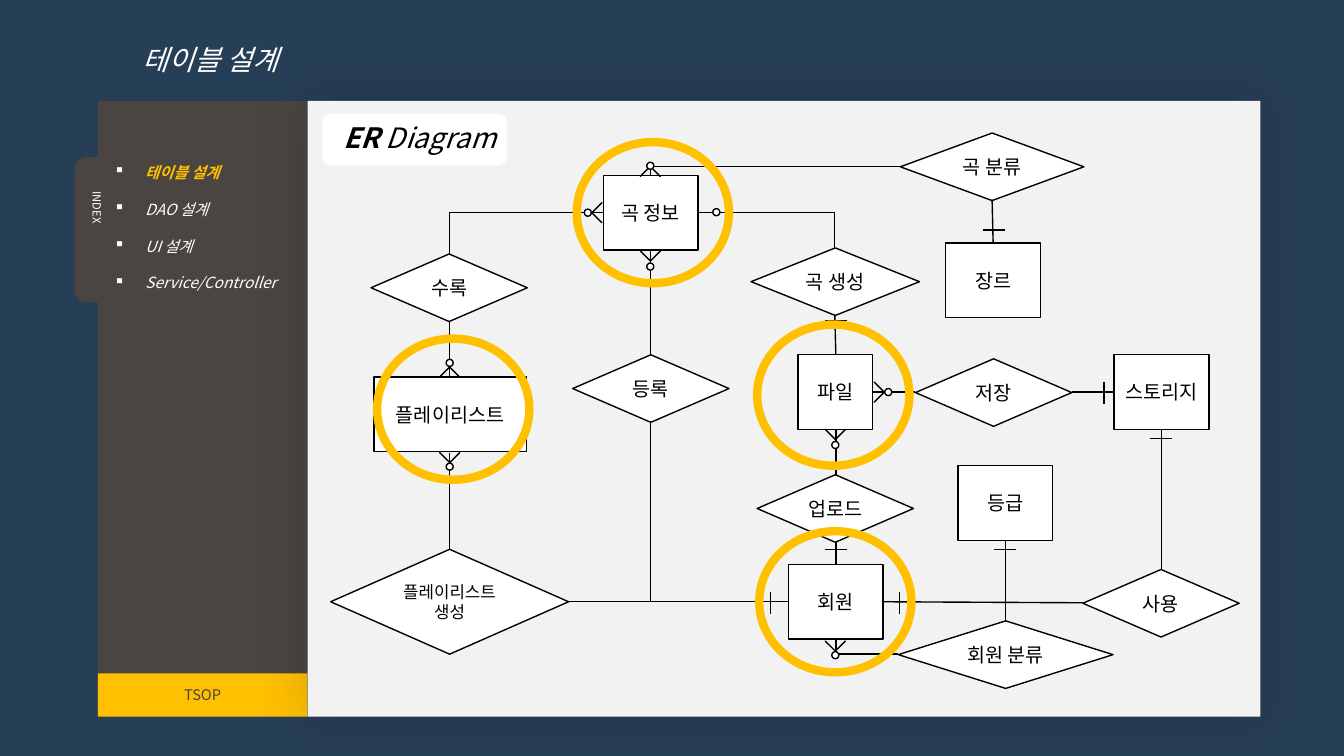
from lxml.etree import SubElement
from pptx import Presentation
from pptx.dml.color import RGBColor
from pptx.enum.shapes import MSO_CONNECTOR as LINK, MSO_SHAPE as SHAPE
from pptx.enum.text import MSO_ANCHOR as ANCHOR, PP_ALIGN as ALIGN
from pptx.oxml.ns import qn
from pptx.util import Inches, Pt

CELL = 0.1  # side of one grid cell in inches
FONT = "Noto Sans CJK KR"
NAVY, BROWN, GOLD = "273E57", "4B4541", "FFC000"
WHITE, BLACK, PALE = "FFFFFF", "000000", "F2F2F2"


def grid(*cells):
    return [Inches(cell * CELL) for cell in cells]


def color(value):
    return RGBColor.from_string(value)


def apply(target, values):
    for name, value in values.items():
        setattr(target, name, value)


# --- Basic elements ---
def add_box(page, kind, area, fill=None, line=None, weight=1, turn=0):
    box = page.shapes.add_shape(kind, *grid(*area))
    box.shadow.inherit = False
    box.rotation = turn
    if fill:
        box.fill.solid()
        box.fill.fore_color.rgb = color(fill)
    else:
        box.fill.background()
    if line:
        box.line.color.rgb = color(line)
        box.line.width = Pt(weight)
    else:
        box.line.fill.background()
    return box


def add_span(para, text, size, ink, **style):
    span = para.add_run()
    span.text = text
    apply(span.font, {"name": FONT, "size": Pt(size), **style})
    span.font.color.rgb = color(ink)
    SubElement(span.font._element, qn("a:ea"), typeface=FONT)


def add_text_box(page, area, spans, align=ALIGN.LEFT, spacing=1.0):
    box = page.shapes.add_textbox(*grid(*area))
    box.text_frame.word_wrap = True
    para = box.text_frame.paragraphs[0]
    apply(para, {"alignment": align, "line_spacing": spacing})
    for text, size, style in spans:
        add_span(para, text, size, **style)
    return box


def write_centered(box, text, size, ink):
    frame = box.text_frame
    apply(frame, {"word_wrap": True, "vertical_anchor": ANCHOR.MIDDLE})
    for number, line in enumerate(text.split("\n")):
        para = frame.add_paragraph() if number else frame.paragraphs[0]
        para.alignment = ALIGN.CENTER
        add_span(para, line, size, ink)


def add_link(page, start, end, bent=False):
    """Bent links leave the start sideways and reach the end upright."""
    kind = LINK.ELBOW if bent else LINK.STRAIGHT
    link = page.shapes.add_connector(kind, *grid(*start, *end))
    link.line.color.rgb = color(BLACK)
    link.line.width = Pt(1)
    properties = link.element.spPr
    SubElement(properties, qn("a:effectLst"))
    if bent:
        properties.find(qn("a:prstGeom")).set("prst", "bentConnector2")


# --- Diagram elements, placed by their centres ---
def add_centered(page, kind, x, y, width, height, **style):
    area = (x - width / 2, y - height / 2, width, height)
    return add_box(page, kind, area, **style)


def add_node(page, kind, text, x, y, width, height, size=14):
    box = add_centered(page, kind, x, y, width, height, fill=WHITE, line=BLACK)
    write_centered(box, text, size, BLACK)


def add_circle(page, x, y):
    add_centered(page, SHAPE.OVAL, x, y, 0.7, 0.7, fill=WHITE, line=BLACK)


def add_crow_foot(page, x, y, across, down, gap=1.4):
    turn = {(1, 0): 135, (0, 1): 225, (-1, 0): 315, (0, -1): 45}[across, down]
    foot = add_centered(page, SHAPE.HALF_FRAME, x, y, 1.4, 1.4,
                        fill=WHITE, line=BLACK, turn=turn)
    foot.adjustments[0] = foot.adjustments[1] = 0
    add_circle(page, x + across * gap, y + down * gap)


def add_tick(page, x, y, across, down):
    reach = 1.1
    add_link(page, (x - reach * across, y - reach * down),
             (x + reach * across, y + reach * down))


# --- Parts of the slide ---
def draw_sidebar(page):
    box = add_box(page, SHAPE.RECTANGLE, (9.7, 10, 20.8, 61.1), BROWN)
    frame = box.text_frame
    apply(frame, {"margin_left": Inches(0.16), "margin_top": Inches(0.43),
                  "word_wrap": True, "vertical_anchor": ANCHOR.TOP})
    entries = ["테이블 설계", "DAO 설계", "UI 설계", "Service/Controller"]
    for number, entry in enumerate(entries):
        para = frame.add_paragraph() if number else frame.paragraphs[0]
        apply(para, {"alignment": ALIGN.LEFT, "line_spacing": 2.0})
        settings = para._p.get_or_add_pPr()
        settings.set("marL", str(Inches(0.31)))
        settings.set("indent", str(-Inches(0.31)))
        SubElement(SubElement(settings, qn("a:buClr")), qn("a:srgbClr"), val=WHITE)
        SubElement(settings, qn("a:buChar"), char="▪")
        current = number == 0
        add_span(para, entry, 11, GOLD if current else WHITE,
                 bold=current, italic=True)

    tab = add_box(page, SHAPE.ROUND_2_SAME_RECTANGLE, (1.4, 21.6, 14.4, 2.4),
                  BROWN, turn=270)
    tab.adjustments[0] = 0.5
    footer = add_box(page, SHAPE.RECTANGLE, (9.7, 66.8, 20.8, 4.3), GOLD)
    write_centered(footer, "TSOP", 10.5, BROWN)
    index = add_text_box(page, (7.4, 18, 3.4, 10.1),
                         [("INDEX", 8, {"ink": WHITE})])
    index.element.find(".//" + qn("a:bodyPr")).set("vert", "eaVert")


def draw_panel(page):
    panel = add_box(page, SHAPE.RECTANGLE, (30.5, 10, 94.5, 61.1), PALE)
    effects = panel.element.spPr.find(qn("a:effectLst"))
    shadow = SubElement(effects, qn("a:outerShdw"), blurRad=str(Pt(38)),
                        dist="0", dir="0", algn="ctr", rotWithShape="0")
    tone = SubElement(shadow, qn("a:srgbClr"), val=BLACK)
    SubElement(tone, qn("a:alpha"), val="17000")


def draw_nodes(page):
    entities = [("파일", 82.85, 38.9, 7.4), ("스토리지", 115.2, 38.9, 9.4),
                ("곡 정보", 64.55, 21.1, 9.4), ("회원", 82.9, 59.7, 9.4),
                ("플레이리스트", 44.65, 41.1, 15.1), ("등급", 99.7, 49.9, 9.4),
                ("장르", 98.5, 27.8, 9.4)]
    relations = [("등록", 64.55, 38.55, 15.5), ("업로드", 82.85, 50.45, 15.5),
                 ("곡 생성", 82.85, 27.95, 16.7), ("사용", 115.15, 59.85, 15.5),
                 ("저장", 98.55, 38.95, 15.5), ("수록", 44.55, 28.55, 15.5),
                 ("회원 분류", 99.75, 64.95, 21.3), ("곡 분류", 98.4, 16.55, 18.2)]
    for entity in entities:
        add_node(page, SHAPE.RECTANGLE, *entity, 7.4)
    for relation in relations:
        add_node(page, SHAPE.DIAMOND, *relation, 6.7)
    add_node(page, SHAPE.DIAMOND, "플레이리스트\n생성", 44.6, 59.7, 23.6, 10.4, 12)


def draw_links(page):
    straight = [((82.9, 47.1), (82.9, 42.6)), ((82.9, 53.8), (82.9, 56)),
                ((64.5, 35.2), (64.5, 24.8)), ((82.9, 35.2), (82.8, 31.3)),
                ((87.5, 59.7), (107.4, 59.8)), ((115.2, 56.5), (115.2, 42.6)),
                ((106.3, 38.9), (110.5, 38.9)), ((90.8, 38.9), (86.6, 38.9)),
                ((44.6, 31.8), (44.6, 37.4)), ((44.6, 44.9), (44.6, 54.5)),
                ((56.4, 59.7), (78.2, 59.7)), ((99.7, 53.6), (99.7, 61.6)),
                ((98.4, 19.8), (98.5, 24.1))]
    bent = [((78.2, 59.7), (64.5, 41.8)), ((69.2, 21.1), (82.8, 24.6)),
            ((59.9, 21.1), (44.6, 25.2)), ((89.1, 64.9), (82.9, 63.4)),
            ((89.3, 16.5), (64.5, 17.4))]
    for start, end in straight:
        add_link(page, start, end)
    for start, end in bent:
        add_link(page, start, end, bent=True)


def draw_link_ends(page):
    for foot in [(82.85, 63.6, 0, 1), (64.5, 17.5, 0, -1, 1.05),
                 (86.7, 38.9, 1, 0), (82.85, 42.6, 0, 1, 1.55),
                 (64.5, 24.9, 0, 1, 1.55), (59.7, 21.1, -1, 0),
                 (44.6, 44.9, 0, 1), (44.6, 37.4, 0, -1)]:
        add_crow_foot(page, *foot)
    add_circle(page, 71.05, 21.05)
    for x, y in [(89.2, 59.85), (76.4, 59.85), (109.5, 39)]:
        add_tick(page, x, y, 0, 1)
    for x, y in [(82.9, 54.5), (82.9, 31.8), (98.6, 22.8),
                 (99.7, 54.5), (115.15, 43.5)]:
        add_tick(page, x, y, 1, 0)


def draw_heading(page):
    add_box(page, SHAPE.ROUNDED_RECTANGLE, (32, 11.3, 18.3, 5.1), WHITE)
    add_text_box(page, (32.8, 11.5, 17.7, 4.4),
                 [("ER", 20, {"ink": BLACK, "bold": True, "italic": True}),
                  (" Diagram", 20, {"ink": BLACK, "italic": True})],
                 align=ALIGN.CENTER)


def draw_highlights(page):
    for left, top in [(57.2, 14.1), (37.4, 33.6), (75.3, 52.7), (75.1, 32.2)]:
        add_box(page, SHAPE.OVAL, (left, top, 15.1, 14), line=GOLD, weight=6)


def main():
    deck = Presentation()
    deck.slide_width, deck.slide_height = Inches(13.33), Inches(7.5)
    page = deck.slides.add_slide(deck.slide_layouts[6])
    page.background.fill.solid()
    page.background.fill.fore_color.rgb = color(NAVY)
    draw_sidebar(page)
    draw_panel(page)
    add_text_box(page, (13.2, 2.1, 43.6, 5.5),
                 [("테이블 설계", 20, {"ink": WHITE, "italic": True})], spacing=1.5)
    draw_nodes(page)
    draw_links(page)
    draw_link_ends(page)
    draw_heading(page)
    draw_highlights(page)
    deck.save("out.pptx")


if __name__ == "__main__":
    main()
